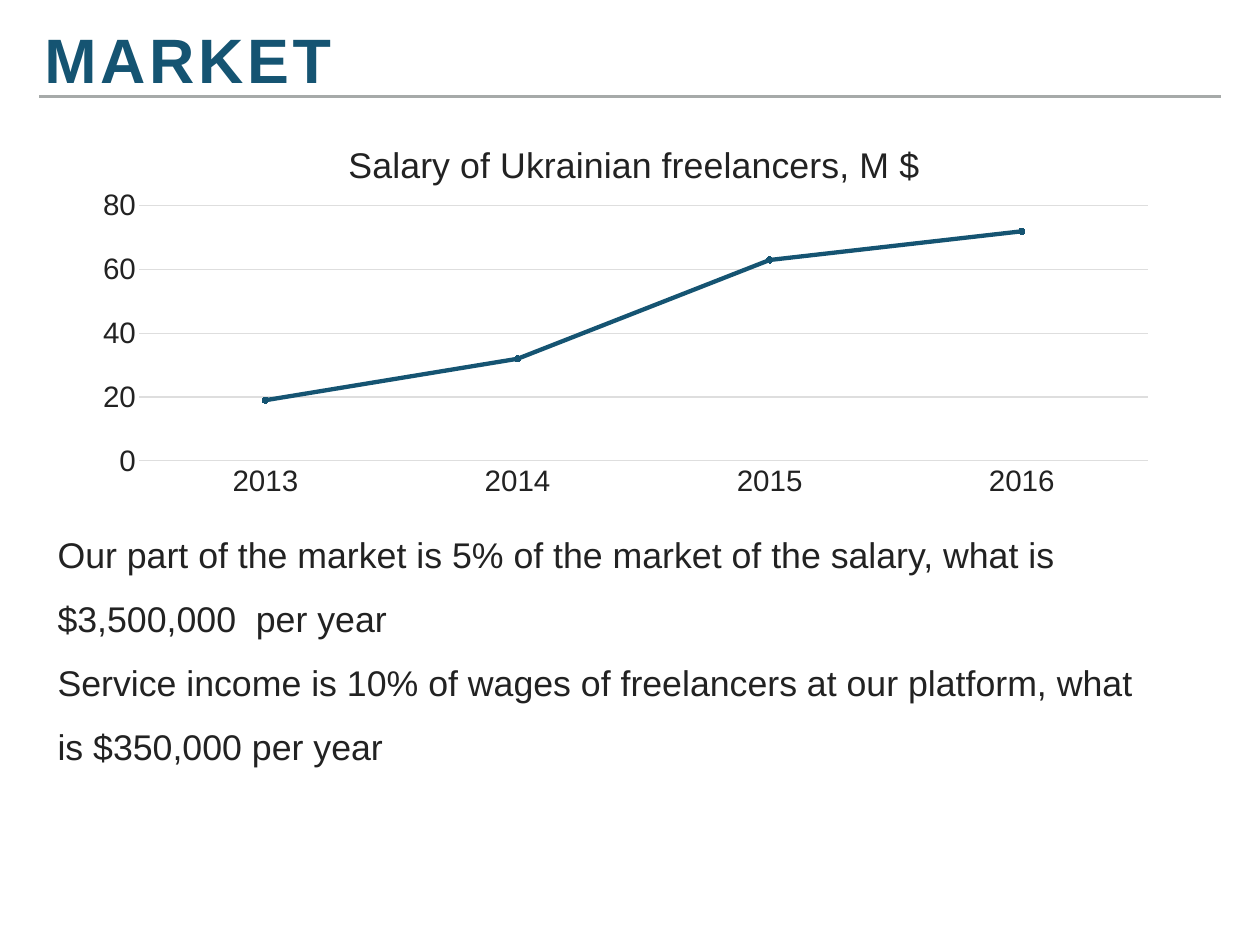
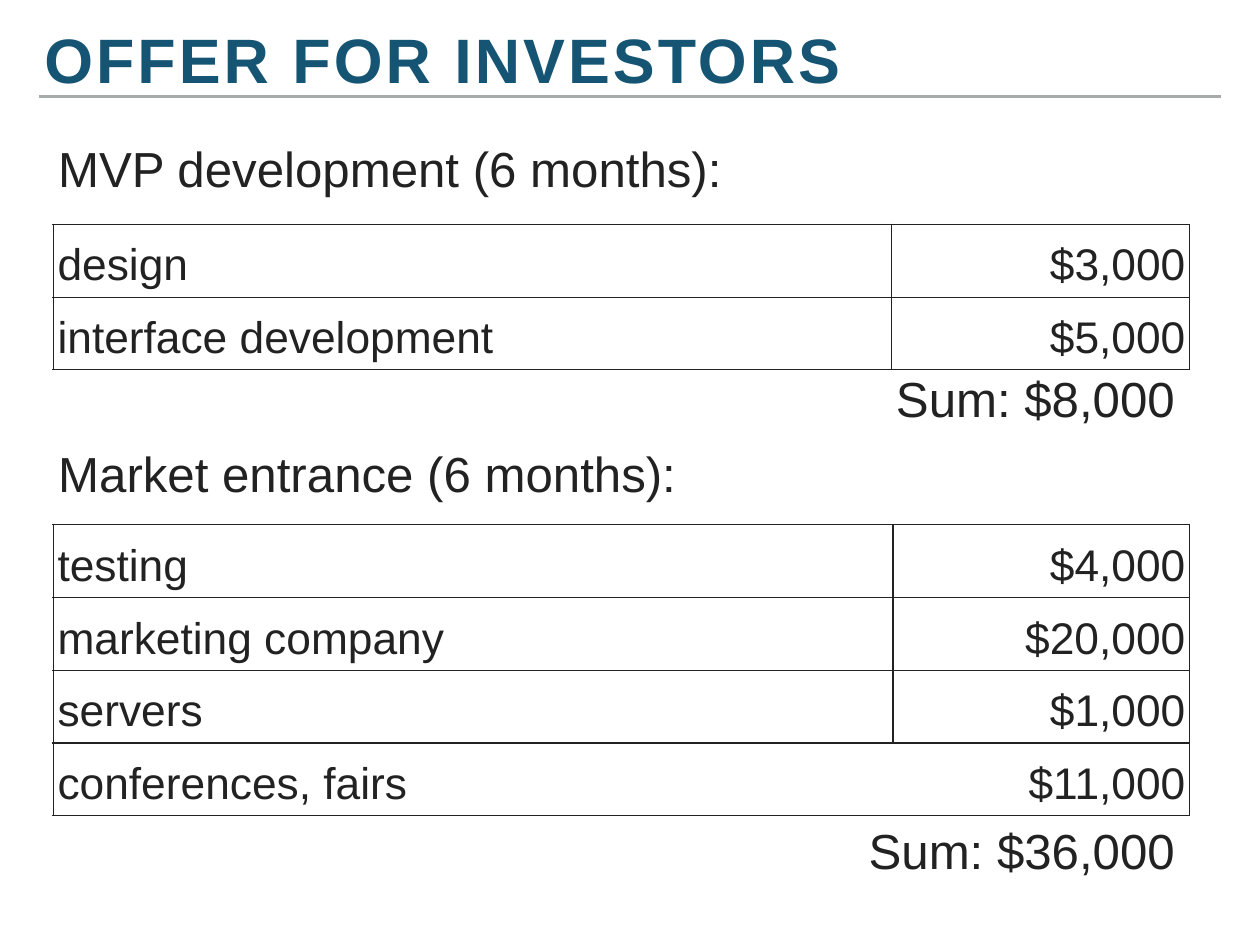
from lxml.etree import SubElement
from pptx import Presentation
from pptx.chart.data import CategoryChartData
from pptx.dml.color import RGBColor
from pptx.enum.chart import XL_CHART_TYPE, XL_MARKER_STYLE, XL_TICK_MARK
from pptx.enum.shapes import MSO_CONNECTOR
from pptx.enum.text import MSO_ANCHOR as ANCHOR, MSO_AUTO_SIZE, PP_ALIGN as ALIGN
from pptx.oxml import parse_xml
from pptx.oxml.ns import nsdecls, qn
from pptx.util import Cm, Pt

FONT = "Arial"
TEAL = RGBColor(0x15, 0x54, 0x72)
INK = RGBColor(0x22, 0x22, 0x22)
RULE = RGBColor(0xA6, 0xAA, 0xA9)
GRID = RGBColor(0xDE, 0xDE, 0xDE)

LEFT = 1.52
TABLE_WIDTH = 32.59
SUM_RIGHT = 33.81
ROW_HEIGHT = 1.87


def style_font(font, size, color=INK, bold=False):
    font.name = FONT
    font.size = Pt(size)
    font.bold = bold
    font.color.rgb = color


def add_run(p, text, size, color=INK, bold=False):
    r = p.add_run()
    r.text = text
    style_font(r.font, size, color, bold)
    return r


def add_box(slide, x, y, w, h, inset, anchor=ANCHOR.TOP, wrap=True):
    """Add an empty text box and return its text frame."""
    tf = slide.shapes.add_textbox(Cm(x), Cm(y), Cm(w), Cm(h)).text_frame
    tf.word_wrap = wrap
    tf.auto_size = MSO_AUTO_SIZE.SHAPE_TO_FIT_TEXT
    tf.vertical_anchor = anchor
    tf.margin_left = tf.margin_right = tf.margin_top = tf.margin_bottom = Cm(inset)
    return tf


def add_titled_slide(prs, title, spacing):
    """Add a slide with the shared rule and title; spacing is in points."""
    slide = prs.slides.add_slide(prs.slide_layouts[6])
    rule = slide.shapes.add_connector(
        MSO_CONNECTOR.STRAIGHT, Cm(1.12), Cm(2.77), Cm(35), Cm(2.77))
    rule.line.color.rgb = RULE
    rule.line.width = Pt(2)
    SubElement(rule._element.spPr, qn("a:effectLst"))
    p = add_box(slide, 1.12, 0.86, 31.04, 2.03, 0.15, ANCHOR.BOTTOM).paragraphs[0]
    p.line_spacing = 0.8
    r = add_run(p, title, 51, TEAL, bold=True)
    r.font._element.set("spc", str(int(spacing * 100)))
    return slide


def add_body(slide, y, h, lines):
    tf = add_box(slide, LEFT, y, 31.14, h, 0.13)
    for i, line in enumerate(lines):
        p = tf.add_paragraph() if i else tf.paragraphs[0]
        p.line_spacing = 1.5
        add_run(p, line, 29)


def add_heading(slide, y, w, text):
    p = add_box(slide, LEFT, y, w, 2.01, 0.15, ANCHOR.MIDDLE).paragraphs[0]
    p.space_before = Pt(6)
    add_run(p, text, 40)


def add_sum(slide, y, w, text):
    p = add_box(slide, SUM_RIGHT - w, y, w, 1.96, 0.13, wrap=False).paragraphs[0]
    p.alignment = ALIGN.RIGHT
    p.space_before = Pt(6)
    add_run(p, text, 40)


def manual_layout(x, y, w=None, h=None):
    """Build a chart layout from fractions of the chart area."""
    target = '<c:layoutTarget val="inner"/>' if w else ""
    sizes = f'<c:w val="{w}"/><c:h val="{h}"/>' if w else ""
    return parse_xml(
        f'<c:layout {nsdecls("c")}><c:manualLayout>{target}'
        f'<c:xMode val="edge"/><c:yMode val="edge"/>'
        f'<c:x val="{x}"/><c:y val="{y}"/>{sizes}</c:manualLayout></c:layout>')


def place(element, layout):
    """Give a chart title or plot area its layout, replacing any it has."""
    for old in element.findall(qn("c:layout")):
        element.remove(old)
    text = element.find(qn("c:tx"))
    element.insert(0 if text is None else 1, layout)


def add_salary_chart(slide):
    data = CategoryChartData()
    data.categories = ["2013", "2014", "2015", "2016"]
    data.add_series("Series 1", [19, 32, 63, 72])
    chart = slide.shapes.add_chart(
        XL_CHART_TYPE.LINE_MARKERS, Cm(2.31), Cm(3.45), Cm(31.22), Cm(11.05),
        data).chart
    chart.has_legend = False
    style_font(chart.font, 10)
    title = chart.chart_title
    add_run(title.text_frame.paragraphs[0], "Salary of Ukrainian freelancers, M $", 29)
    place(title._element, manual_layout(0.24, 0.04))
    place(chart._chartSpace.chart.plotArea, manual_layout(0.054, 0.222, 0.926, 0.662))

    categories, values = chart.category_axis, chart.value_axis
    for axis in (categories, values):
        axis.major_tick_mark = axis.minor_tick_mark = XL_TICK_MARK.NONE
        style_font(axis.tick_labels.font, 24)
    categories.format.line.color.rgb = GRID
    categories.format.line.width = Pt(0.75)
    values.format.line.fill.background()
    values.minimum_scale, values.maximum_scale, values.major_unit = 0, 80, 20
    values.major_gridlines.format.line.color.rgb = GRID
    values.major_gridlines.format.line.width = Pt(1)

    plot = chart.plots[0]
    plot.vary_by_categories = False
    series = plot.series[0]
    series.smooth = False
    series.format.line.color.rgb = TEAL
    series.format.line.width = Pt(3.5)
    marker = series.marker
    marker.style = XL_MARKER_STYLE.CIRCLE
    marker.size = 5
    marker.format.fill.solid()
    marker.format.fill.fore_color.rgb = TEAL
    marker.format.line.color.rgb = TEAL


def set_borders(cell, hidden=None):
    """Draw all four cell borders but the hidden one."""
    tc_pr = cell._tc.get_or_add_tcPr()
    for side in ("lnL", "lnR", "lnT", "lnB"):
        ln = SubElement(tc_pr, qn(f"a:{side}"), w=str(Pt(1)))
        if side == hidden:
            SubElement(ln, qn("a:noFill"))
        else:
            fill = SubElement(ln, qn("a:solidFill"))
            SubElement(fill, qn("a:srgbClr"), val=str(INK))


def add_cost_table(slide, y, name_width, costs, merged_look=False):
    """Add a cost table; merged_look hides the last row's inner border."""
    table = slide.shapes.add_table(
        len(costs), 2, Cm(LEFT), Cm(y), Cm(TABLE_WIDTH),
        Cm(ROW_HEIGHT * len(costs))).table
    table.first_row = table.horz_banding = False
    table.columns[0].width = Cm(name_width)
    table.columns[1].width = Cm(TABLE_WIDTH - name_width)
    for i, cost in enumerate(costs):
        open_row = merged_look and i == len(costs) - 1
        for j, (text, align, inner) in enumerate(
                zip(cost, (ALIGN.LEFT, ALIGN.RIGHT), ("lnR", "lnL"))):
            cell = table.cell(i, j)
            set_borders(cell, inner if open_row else None)
            cell.fill.background()
            cell.vertical_anchor = ANCHOR.MIDDLE
            cell.margin_left = cell.margin_right = Cm(0.13)
            cell.margin_top = cell.margin_bottom = Cm(0.13)
            p = cell.text_frame.paragraphs[0]
            p.alignment = align
            p.line_spacing = 1.2
            p.space_before = Pt(24)
            add_run(p, text, 36)


def build_market(prs):
    slide = add_titled_slide(prs, "MARKET", 3)
    add_body(slide, 14.53, 7.7, [
        "Our part of the market is 5% of the market of the salary, "
        "what is $3,500,000  per year",
        "Service income is 10% of wages of freelancers at our platform, "
        "what is $350,000 per year",
    ])
    add_salary_chart(slide)


def build_offer(prs):
    slide = add_titled_slide(prs, "OFFER FOR INVESTORS", 2.5)
    add_heading(slide, 3.81, 24.59, "MVP development (6 months):")
    add_cost_table(slide, 6.43, 24.03, [
        ("design", "$3,000"),
        ("interface development", "$5,000"),
    ])
    add_sum(slide, 10.44, 8.33, "Sum: $8,000")
    add_heading(slide, 12.55, 29.49, "Market entrance (6 months):")
    add_cost_table(slide, 15.04, 24.08, [
        ("testing", "$4,000"),
        ("marketing company", "$20,000"),
        ("servers", "$1,000"),
        ("conferences, fairs", "$11,000"),
    ], merged_look=True)
    add_sum(slide, 23.39, 9.12, "Sum: $36,000")


def main():
    prs = Presentation()
    prs.slide_width, prs.slide_height = Cm(36.12), Cm(27.1)
    build_market(prs)
    build_offer(prs)
    prs.save("out.pptx")


if __name__ == "__main__":
    main()
